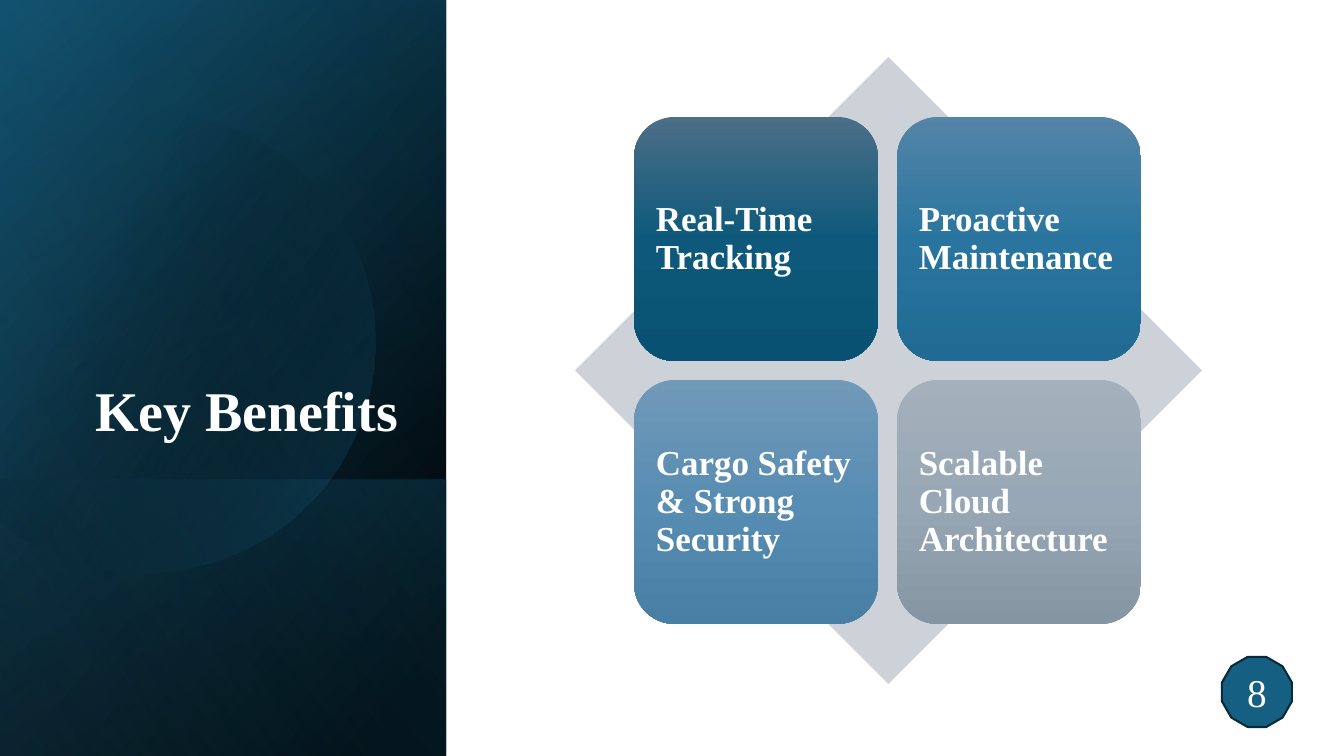
"""Build the Key Benefits slide: a dark title panel beside a diamond of four benefit tiles."""
from math import acos, cos, sin

from pptx import Presentation
from pptx.dml.color import RGBColor
from pptx.enum.shapes import MSO_SHAPE as Shape
from pptx.enum.text import MSO_ANCHOR as Anchor, MSO_AUTO_SIZE as AutoSize, PP_ALIGN as Align
from pptx.oxml import parse_xml
from pptx.oxml.ns import nsdecls, qn
from pptx.util import Pt

PX = 12192000 / 1344
FONT = "Times New Roman"
WHITE = RGBColor(0xFF, 0xFF, 0xFF)
BLACK = RGBColor(0x00, 0x00, 0x00)
NAVY = RGBColor(0x10, 0x48, 0x62)
TEAL = RGBColor(0x15, 0x60, 0x82)
SKY = RGBColor(0x46, 0xB1, 0xE1)
OUTLINE = RGBColor(0x09, 0x2A, 0x39)
DIAMOND_GREY = RGBColor(0xCC, 0xD2, 0xD8)
DEEP = [RGBColor(0x4C, 0x6E, 0x87), RGBColor(0x0E, 0x59, 0x7B), RGBColor(0x08, 0x51, 0x72)]
BLUE = [RGBColor(0x54, 0x84, 0xA7), RGBColor(0x2A, 0x75, 0xA0), RGBColor(0x20, 0x6A, 0x93)]
STEEL = [RGBColor(0x71, 0x99, 0xB8), RGBColor(0x58, 0x8D, 0xB3), RGBColor(0x49, 0x7F, 0xA4)]
SILVER = [RGBColor(0xA4, 0xB1, 0xBC), RGBColor(0x97, 0xA7, 0xB5), RGBColor(0x85, 0x95, 0xA2)]


def shade(shape, angle, stops):
    """Fill a shape with a linear gradient of (position, colour, opacity) stops and no line."""
    shape.shadow.inherit = False
    shape.line.fill.background()
    shape.fill.gradient()
    marks = "".join(
        f'<a:gs pos="{position * 1000}"><a:srgbClr val="{colour}">'
        f'<a:alpha val="{opacity * 1000}"/></a:srgbClr></a:gs>'
        for position, colour, opacity in stops
    )
    properties = shape._element.spPr
    properties.replace(properties.find(qn("a:gradFill")), parse_xml(
        f'<a:gradFill {nsdecls("a")} rotWithShape="1"><a:gsLst>{marks}</a:gsLst>'
        f'<a:lin ang="{angle * 60000}" scaled="0"/></a:gradFill>'
    ))


def write(frame, text, size, bold, align, anchor, inset):
    """Put one white paragraph into a text frame."""
    frame.text = text
    frame.word_wrap = True
    frame.auto_size = AutoSize.NONE
    frame.vertical_anchor = anchor
    for side in ("left", "right", "top", "bottom"):
        setattr(frame, f"margin_{side}", round(inset * PX))
    line = frame.paragraphs[0]
    line.alignment = align
    line.line_spacing = 0.9
    formats = {"name": FONT, "size": Pt(size), "bold": bold}
    for name, value in formats.items():
        setattr(line.font, name, value)
    line.font.color.rgb = WHITE


deck = Presentation()
deck.slide_width = round(1344 * PX)
deck.slide_height = round(756 * PX)
slide = deck.slides.add_slide(deck.slide_layouts[5])
shapes = slide.shapes

PANEL_WIDTH = 446
panels = [
    (0, 50, [(8, BLACK, 100), (100, NAVY, 100)]),
    (0, 30, [(0, BLACK, 0), (99, TEAL, 46)]),
    (480, 130, [(2, TEAL, 29), (100, BLACK, 30)]),
    (0, 120, [(0, BLACK, 0), (99, SKY, 11)]),
]
for order, (top, angle, stops) in enumerate(panels):
    if order == 3:
        center_x, center_y, radius = 144, 342, 231
        reach = acos(-center_x / radius)
        turns = [reach * (step / 60 - 1) for step in range(121)]
        rim = [(center_x + radius * cos(turn), center_y + radius * sin(turn)) for turn in turns]
        outline = shapes.build_freeform(*rim[0], scale=PX)
        outline.add_line_segments(rim[1:], close=True)
        shade(outline.convert_to_shape(), 30, [(29, BLACK, 0), (100, TEAL, 43)])
    height = 756 - top
    shift = (height - PANEL_WIDTH) / 2
    panel = shapes.add_shape(
        Shape.RECTANGLE, round(-shift * PX), round((top + shift) * PX),
        round(height * PX), round(PANEL_WIDTH * PX))
    panel.rotation = 90
    panel._element.spPr.xfrm.set("flipH", "1")
    shade(panel, angle, stops)

heading = shapes.title
shapes._spTree.append(heading._element)
for name, length in {"left": 65, "top": 185, "width": 343, "height": 264}.items():
    setattr(heading, name, round(length * PX))
write(heading.text_frame, "Key Benefits", 40, True, Align.RIGHT, Anchor.BOTTOM, 10)
heading.text_frame.margin_bottom = round(5 * PX)

benefits = shapes.add_group_shape().shapes
diamond = benefits.add_shape(
    Shape.DIAMOND, round(575 * PX), round(57 * PX), round(627 * PX), round(627 * PX))
diamond.shadow.inherit = False
diamond.fill.solid()
diamond.fill.fore_color.rgb = DIAMOND_GREY
diamond.line.fill.background()

TILE, PITCH = 244, 263
tiles = [
    ("Real-Time Tracking", DEEP),
    ("Proactive Maintenance", BLUE),
    ("Cargo Safety & Strong Security", STEEL),
    ("Scalable Cloud Architecture", SILVER),
]
for index, (benefit, colours) in enumerate(tiles):
    row, column = divmod(index, 2)
    tile = benefits.add_shape(
        Shape.ROUNDED_RECTANGLE, round((634 + column * PITCH) * PX),
        round((117 + row * PITCH) * PX), round(TILE * PX), round(TILE * PX))
    shade(tile, 90, [(50 * step, colour, 100) for step, colour in enumerate(colours)])
    write(tile.text_frame, benefit, 25, True, Align.LEFT, Anchor.MIDDLE, 10)

badge = shapes.add_shape(
    Shape.DODECAGON, round(1222 * PX), round(657 * PX), round(70 * PX), round(70 * PX))
badge.shadow.inherit = False
badge.fill.solid()
badge.fill.fore_color.rgb = TEAL
badge.line.color.rgb = OUTLINE
badge.line.width = Pt(1.5)
write(badge.text_frame, "8", 28, False, Align.CENTER, Anchor.MIDDLE, 5)
badge.text_frame.paragraphs[0].line_spacing = 1.0

deck.save("out.pptx")
